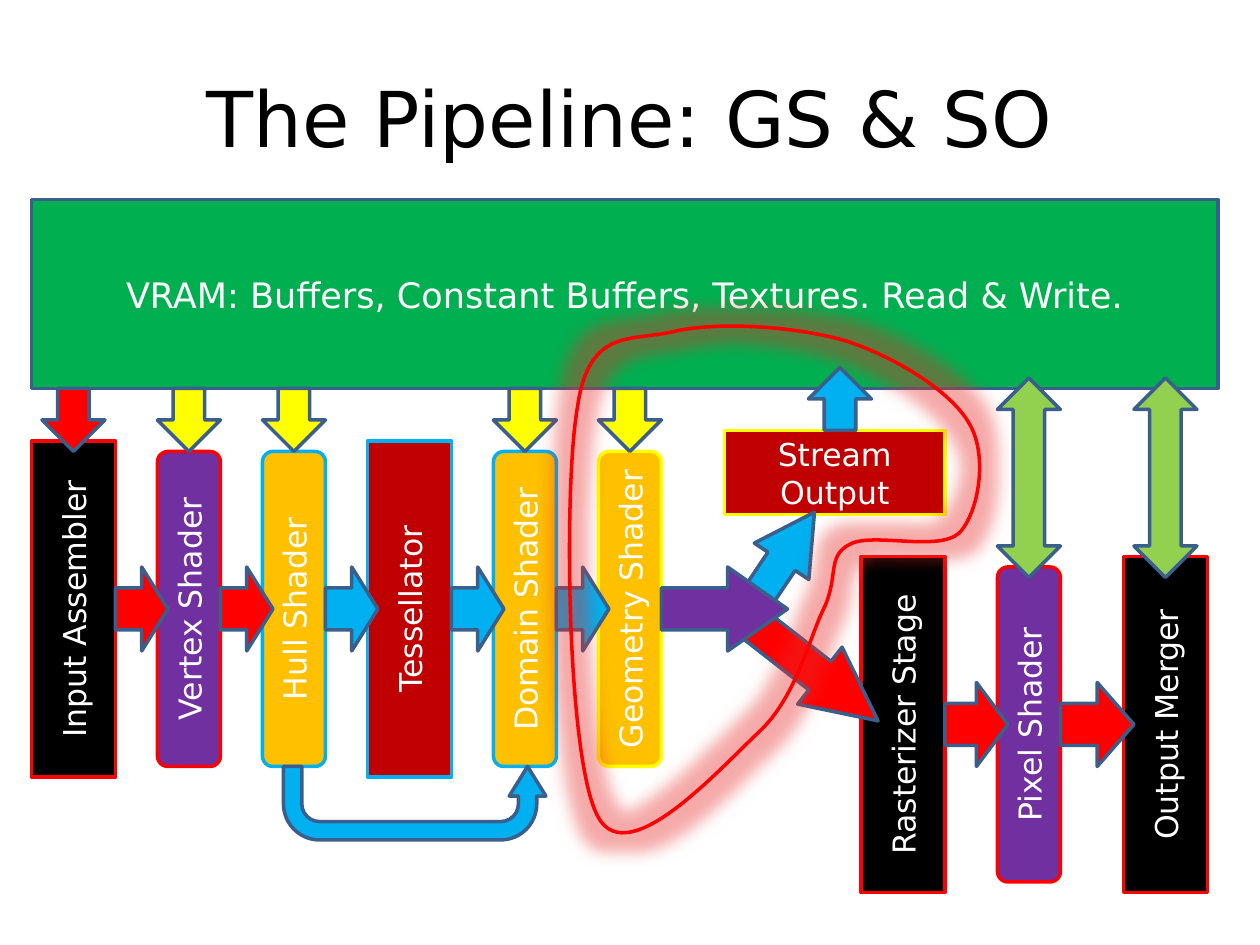
from dataclasses import dataclass

from lxml.etree import SubElement
from pptx import Presentation
from pptx.dml.color import RGBColor
from pptx.enum.shapes import MSO_SHAPE as Shape
from pptx.enum.text import MSO_ANCHOR as Anchor, PP_ALIGN as Align
from pptx.oxml.ns import qn
from pptx.util import Emu, Pt

SCALE = 9525


@dataclass(frozen=True)
class Theme:
    font: str = "DejaVu Sans"
    title_size: int = 44
    memory_size: int = 20
    stage_size: int = 18
    line_width: int = 2
    black: str = "000000"
    white: str = "FFFFFF"
    green: str = "00B050"
    lime: str = "92D050"
    red: str = "FF0000"
    crimson: str = "C00000"
    purple: str = "7030A0"
    orange: str = "FFC000"
    yellow: str = "FFFF00"
    blue: str = "00B0F0"
    outline: str = "3A5F8C"
    glow: str = "E62C28"


@dataclass(frozen=True)
class Box:
    left: int
    top: int
    width: int
    height: int

    def inner(self, left, top, width, height):
        return Box(self.left + left, self.top + top, width, height)

    def emu(self):
        return [Emu(value * SCALE) for value in (self.left, self.top, self.width, self.height)]


THEME = Theme()


def set_values(target, values):
    for name, value in values.items():
        setattr(target, name, value)


def write_text(shape, text, size, color):
    frame = shape.text_frame
    set_values(frame, {"word_wrap": True, "vertical_anchor": Anchor.MIDDLE})
    para = frame.paragraphs[0]
    para.alignment = Align.CENTER
    span = para.add_run()
    span.text = text
    set_values(span.font, {"name": THEME.font, "size": Pt(size)})
    span.font.color.rgb = RGBColor.from_string(color)


def set_line(shape, color):
    shape.line.color.rgb = RGBColor.from_string(color)
    shape.line.width = Pt(THEME.line_width)
    shape.shadow.inherit = False


def add_block(page, kind, box, fill, line=THEME.outline, rotation=0, adjust=()):
    shape = page.shapes.add_shape(kind, *box.emu())
    shape.fill.solid()
    shape.fill.fore_color.rgb = RGBColor.from_string(fill)
    set_line(shape, line)
    shape.rotation = rotation
    for index, value in enumerate(adjust):
        shape.adjustments[index] = value
    return shape


def add_stage(page, kind, box, text, fill, line, rotation=0):
    stage = add_block(page, kind, box, fill, line, rotation)
    write_text(stage, text, THEME.stage_size, THEME.white)
    stage.text_frame._txBody.bodyPr.set("vert", "vert270")


def add_title(page, box, text):
    title = page.shapes.title
    set_values(title, dict(zip(("left", "top", "width", "height"), box.emu())))
    write_text(title, text, THEME.title_size, THEME.black)


def add_memory(page, box, text):
    memory = add_block(page, Shape.RECTANGLE, box, THEME.green)
    write_text(memory, text, THEME.memory_size, THEME.white)


def add_stage_row(page, box, stages):
    edges = []
    for left, fixed, text, fill, line in stages:
        kind, inset, width = (Shape.RECTANGLE, 0, 64) if fixed else (Shape.ROUNDED_RECTANGLE, 8, 48)
        area = box.inner(left, inset, width, box.height - 2 * inset)
        add_stage(page, kind, area, text, fill, line)
        edges.append((left, left + width))
    return edges


def add_flow(page, box, edges, colors):
    for (_, start), (end, _), color in zip(edges, edges[1:], colors):
        area = box.inner(start, 96, end + 8 - start, 64)
        add_block(page, Shape.RIGHT_ARROW, area, color)


def add_geometry_row(page, box):
    edges = add_stage_row(page, box, [
        (0, True, "Input Assembler", THEME.black, THEME.red),
        (96, False, "Vertex Shader", THEME.purple, THEME.red),
        (176, False, "Hull Shader", THEME.orange, THEME.blue),
        (256, True, "Tessellator", THEME.crimson, THEME.blue),
        (352, False, "Domain Shader", THEME.orange, THEME.blue),
        (432, False, "Geometry Shader", THEME.orange, THEME.yellow),
    ])
    add_flow(page, box, edges, [THEME.red] * 2 + [THEME.blue] * 3)
    for index, color in ((0, THEME.red), *((n, THEME.yellow) for n in (1, 2, 4, 5))):
        left = sum(edges[index]) // 2 - 24
        add_block(page, Shape.DOWN_ARROW, box.inner(left, -40, 48, 48), color)
    bypass = add_block(page, Shape.U_TURN_ARROW, box.inner(192, 248, 200, 56), THEME.blue,
                       adjust=(0.25, 0.25, 0.404, 0.491, 1))
    bypass._element.spPr.find(qn("a:xfrm")).set("flipV", "1")


def add_raster_row(page, box):
    edges = add_stage_row(page, box, [
        (0, True, "Rasterizer Stage", THEME.black, THEME.red),
        (104, False, "Pixel Shader", THEME.purple, THEME.red),
        (200, True, "Output Merger", THEME.black, THEME.red),
    ])
    add_flow(page, box, edges, [THEME.red] * 2)
    for start, end in edges[1:]:
        area = box.inner((start + end) // 2 - 24, -136, 48, 152)
        add_block(page, Shape.UP_DOWN_ARROW, area, THEME.lime)


def add_stream_branch(page, box):
    add_stage(page, Shape.RECTANGLE, box.inner(100, -4, 64, 168), "Stream Output",
              THEME.crimson, THEME.yellow, 90)
    for area, color, rotation, head in (
        (box.inner(59, 116, 74, 50), THEME.blue, 303.8, 0.901),
        (box.inner(55, 204, 123, 55), THEME.red, 37.9, 1.021),
        (box.inner(0, 152, 96, 64), THEME.purple, 0, 0.712),
    ):
        add_block(page, Shape.RIGHT_ARROW, area, color, rotation=rotation, adjust=(0.5, head))
    add_block(page, Shape.DOWN_ARROW, box.inner(112, 0, 48, 48), THEME.blue, rotation=180)


def add_highlight(page, box):
    start = (216, 15)
    points = [
        (253, 27), (295, 53), (309, 77), (324, 101), (317, 145), (302, 161),
        (286, 176), (235, 160), (218, 170), (201, 179), (210, 194), (199, 218),
        (187, 242), (178, 286), (149, 313), (120, 340), (50, 419), (27, 378),
        (3, 337), (0, 127), (11, 65), (20, 3), (53, 16), (87, 7),
        (122, 0), (179, 4), start,
    ]
    builder = page.shapes.build_freeform(*start, scale=SCALE)
    builder.add_line_segments(points, close=True)
    left, top, _, _ = box.emu()
    loop = builder.convert_to_shape(left, top)
    segments = list(loop._element.iter(qn("a:lnTo")))
    for first, second, third in zip(*[iter(segments)] * 3):
        curve = first.getparent()
        first.tag = qn("a:cubicBezTo")
        for segment in (second, third):
            first.append(segment[0])
            curve.remove(segment)
    loop.fill.background()
    set_line(loop, THEME.red)
    effects = loop._element.spPr.find(qn("a:effectLst"))
    glow = SubElement(effects, qn("a:glow"), rad=str(24 * SCALE))
    color = SubElement(glow, qn("a:srgbClr"), val=THEME.glow)
    SubElement(color, qn("a:alpha"), val="40000")


def main():
    deck = Presentation()
    set_values(deck, {"slide_width": Emu(960 * SCALE), "slide_height": Emu(720 * SCALE)})
    page = deck.slides.add_slide(deck.slide_layouts[5])
    add_title(page, Box(48, 29, 864, 120), "The Pipeline: GS & SO")
    add_memory(page, Box(24, 152, 904, 144),
               "VRAM: Buffers, Constant Buffers, Textures. Read & Write.")
    add_geometry_row(page, Box(24, 336, 480, 256))
    add_raster_row(page, Box(656, 424, 264, 256))
    add_stream_branch(page, Box(504, 280, 216, 264))
    add_highlight(page, Box(429, 245, 324, 419))
    deck.save("out.pptx")


if __name__ == "__main__":
    main()
